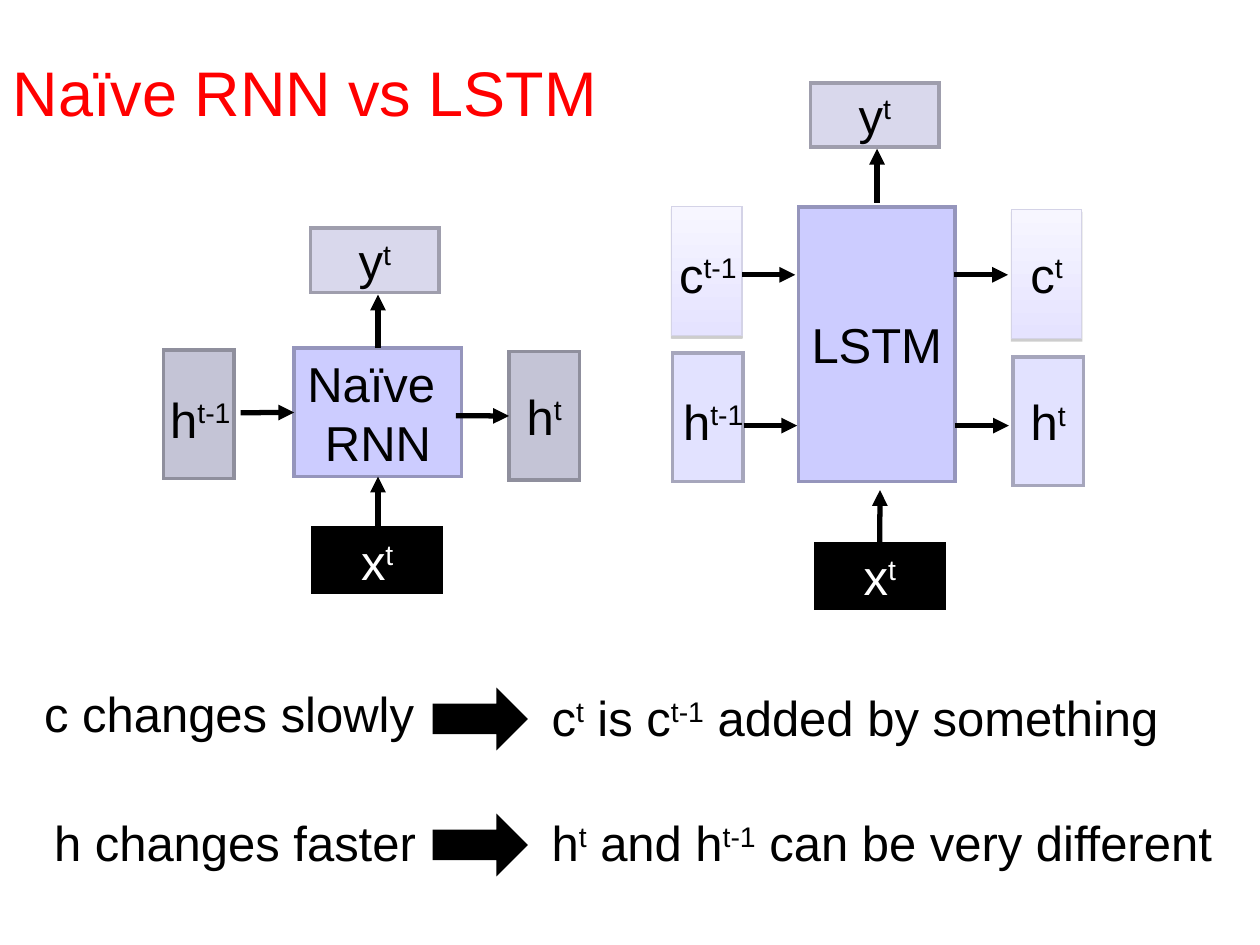
"""Build the slide comparing a naïve RNN with an LSTM."""
from dataclasses import dataclass
from typing import Optional

import lxml.etree
import pptx
import pptx.dml.color
import pptx.enum.shapes
import pptx.enum.text
import pptx.oxml
import pptx.oxml.ns
import pptx.util

Cm, Pt = pptx.util.Cm, pptx.util.Pt
qn = pptx.oxml.ns.qn
MSO_SHAPE = pptx.enum.shapes.MSO_SHAPE
ANCHOR = pptx.enum.text.MSO_ANCHOR
ALIGN = pptx.enum.text.PP_ALIGN
AUTO = pptx.enum.text.MSO_AUTO_SIZE
TOP, LEFT, BOTTOM, RIGHT = range(4)
TALL = (1.42, 2.59)
WIDE = (2.59, 1.3)
SHADOW = (
    f'<a:effectLst {pptx.oxml.ns.nsdecls("a")}>'
    '<a:outerShdw blurRad="0" dist="20320" dir="5400000" rotWithShape="0">'
    '<a:srgbClr val="808080"><a:alpha val="38000"/></a:srgbClr>'
    '</a:outerShdw></a:effectLst>'
)


@dataclass
class Style:
    fills: tuple[str, ...]
    line: str
    width: float = 2
    font: str = "000000"


@dataclass
class Box:
    key: str
    x: float
    y: float
    size: tuple[float, float]
    style: Style
    text: str = ""


@dataclass
class Label:
    x: float
    y: float
    w: float
    text: str
    wrap: bool = True


@dataclass
class Arrow:
    start: tuple[float, float]
    end: tuple[float, float]
    begin: Optional[tuple[str, int]] = None
    finish: Optional[tuple[str, int]] = None


CELL = Style(("CCCCFF",), "9595BC")
OUTPUT = Style(("D9D8EC",), "9F9EAD")
INPUT = Style(("000000",), "000000", font="FFFFFF")
RNN_STATE = Style(("C4C4D6",), "8F8F9D")
LSTM_STATE = Style(("E2E2FF",), "A6A6BC")
MEMORY = Style(("F7F6FF", "E5E3FF"), "D4D3E7", 0.75)

BOXES = [
    Box("rnn h in", 3.3, 7.06, TALL, RNN_STATE),
    Box("rnn", 5.93, 7.02, (3.38, 2.59), CELL, "Naïve \nRNN"),
    Box("rnn h out", 10.26, 7.09, TALL, RNN_STATE, "h|t"),
    Box("rnn y", 6.26, 4.6, WIDE, OUTPUT, "y|t"),
    Box("rnn x", 6.31, 10.65, WIDE, INPUT, "x|t"),
    Box("lstm", 16.1, 4.17, (3.15, 5.54), CELL, "LSTM"),
    Box("lstm c in", 13.54, 4.17, TALL, MEMORY),
    Box("lstm y", 16.34, 1.67, WIDE, OUTPUT, "y|t"),
    Box("lstm x", 16.44, 10.96, WIDE, INPUT, "x|t"),
    Box("lstm h in", 13.56, 7.12, TALL, LSTM_STATE),
    Box("lstm c out", 20.39, 4.23, TALL, MEMORY, "c|t"),
    Box("lstm h out", 20.42, 7.2, TALL, LSTM_STATE, "h|t"),
]
ARROWS = [
    Arrow((4.85, 8.32), (5.93, 8.32), finish=("rnn", LEFT)),
    Arrow((9.19, 8.38), (10.26, 8.38), finish=("rnn h out", LEFT)),
    Arrow((7.62, 7.02), (7.62, 5.94), begin=("rnn", TOP)),
    Arrow((7.62, 10.65), (7.62, 9.61), finish=("rnn", BOTTOM)),
    Arrow((14.96, 5.54), (16.03, 5.54)),
    Arrow((17.68, 4.09), (17.68, 3)),
    Arrow((17.74, 10.96), (17.74, 9.88), begin=("lstm x", TOP)),
    Arrow((14.99, 8.58), (16.07, 8.58)),
    Arrow((19.23, 5.54), (20.32, 5.54)),
    Arrow((19.25, 8.58), (20.34, 8.58)),
]
LABELS = [
    Label(0.64, 13.66, 8.26, "c changes slowly"),
    Label(0.84, 16.26, 8.13, "h changes faster"),
    Label(10.87, 13.74, 13.26, "c|t| is c|t-1| added by something"),
    Label(10.87, 16.26, 14.53, "h|t| and h|t-1| can be very different"),
    Label(3.17, 7.72, 1.74, "h|t-1", False),
    Label(13.51, 7.77, 1.74, "h|t-1", False),
    Label(13.4, 4.8, 1.74, "c|t-1", False),
]


def rgb(value: str) -> pptx.dml.color.RGBColor:
    return pptx.dml.color.RGBColor.from_string(value)


def write(tf, text: str, color: str = "000000", align=ALIGN.CENTER, size: float = 28) -> None:
    """Write lines of text whose every second part between bars is superscript."""
    for i, line in enumerate(text.split("\n")):
        p = tf.add_paragraph() if i else tf.paragraphs[0]
        p.alignment = align
        p.font.name, p.font.size = "Arial", Pt(size)
        p.font.color.rgb = rgb(color)
        for j, part in enumerate(line.split("|")):
            r = p.add_run()
            r.text = part
            if j % 2:
                r._r.get_or_add_rPr().set("baseline", "30000")


def paint(sp, style: Style) -> None:
    sp.shadow.inherit = False
    if len(style.fills) > 1:
        sp.fill.gradient()
        sp.fill.gradient_angle = 270
        for stop, color in zip(sp.fill.gradient_stops, style.fills):
            stop.color.rgb = rgb(color)
    else:
        sp.fill.solid()
        sp.fill.fore_color.rgb = rgb(style.fills[0])
    sp.line.color.rgb = rgb(style.line)
    sp.line.width = Pt(style.width)
    lxml.etree.SubElement(sp.line._get_or_add_ln(), qn("a:miter"), lim="800000")


def add_box(s, box: Box):
    sp = s.shapes.add_shape(MSO_SHAPE.RECTANGLE, Cm(box.x), Cm(box.y), *map(Cm, box.size))
    paint(sp, box.style)
    if box.style is MEMORY:
        effects = sp._element.spPr.find(qn("a:effectLst"))
        effects.getparent().replace(effects, pptx.oxml.parse_xml(SHADOW))
    if box.text:
        sp.text_frame.vertical_anchor = ANCHOR.MIDDLE
        write(sp.text_frame, box.text, box.style.font)
    return sp


def add_arrow(s, arrow: Arrow, boxes: dict) -> None:
    sp = s.shapes.add_connector(
        pptx.enum.shapes.MSO_CONNECTOR.STRAIGHT, *map(Cm, arrow.start + arrow.end))
    if arrow.begin:
        sp.begin_connect(boxes[arrow.begin[0]], arrow.begin[1])
    if arrow.finish:
        sp.end_connect(boxes[arrow.finish[0]], arrow.finish[1])
    sp.line.color.rgb = rgb("000000")
    sp.line.width = Pt(3)
    lxml.etree.SubElement(sp.line._get_or_add_ln(), qn("a:tailEnd"), type="triangle")
    lxml.etree.SubElement(sp._element.spPr, qn("a:effectLst"))


def add_label(s, label: Label) -> None:
    tf = s.shapes.add_textbox(Cm(label.x), Cm(label.y), Cm(label.w), Cm(1.45)).text_frame
    tf.word_wrap = label.wrap
    tf.auto_size = AUTO.SHAPE_TO_FIT_TEXT
    write(tf, label.text, align=ALIGN.LEFT if label.wrap else ALIGN.CENTER)


def main() -> None:
    prs = pptx.Presentation()
    prs.slide_width, prs.slide_height = Cm(25.4), Cm(19.05)
    s = prs.slides.add_slide(prs.slide_layouts[5])
    title = s.shapes.title
    title.left, title.top, title.width, title.height = map(Cm, (0, 0, 13.28, 3.68))
    title.text_frame.vertical_anchor = ANCHOR.MIDDLE
    title.text_frame.auto_size = AUTO.NONE
    write(title.text_frame, "Naïve RNN vs LSTM", "FF0000", ALIGN.LEFT, 36)
    for y in (13.95, 16.49):
        sp = s.shapes.add_shape(MSO_SHAPE.RIGHT_ARROW, Cm(8.76), Cm(y), Cm(1.83), Cm(1.09))
        paint(sp, INPUT)
    boxes = {box.key: add_box(s, box) for box in BOXES}
    for arrow in ARROWS:
        add_arrow(s, arrow, boxes)
    for label in LABELS:
        add_label(s, label)
    prs.save("out.pptx")


if __name__ == "__main__":
    main()
